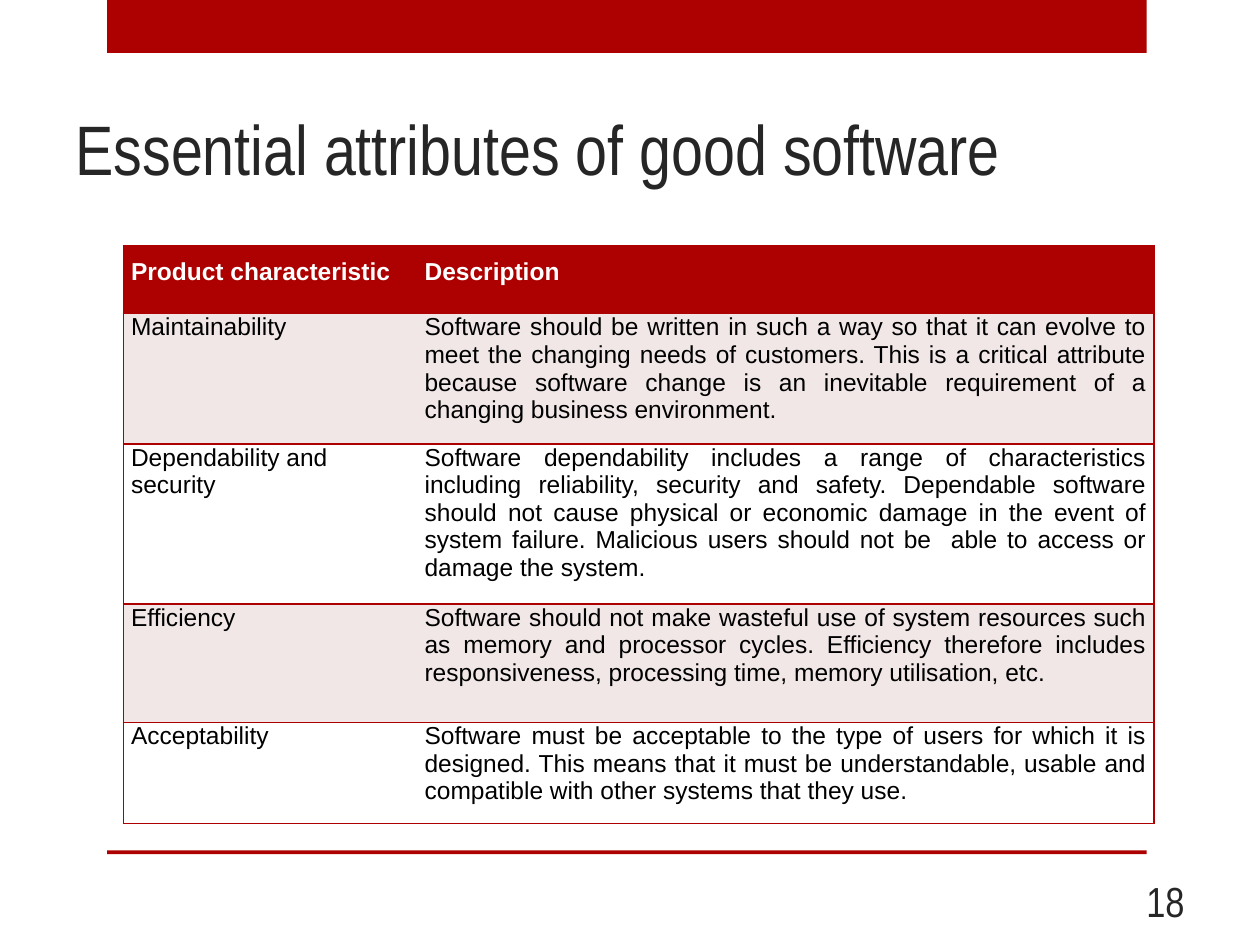
"""Builds the slide on essential attributes of good software."""
from lxml import etree
from pptx import Presentation
from pptx import util as u
from pptx.dml.color import RGBColor
from pptx.enum import shapes, text
from pptx.oxml.ns import qn

COLORS = {"red": "AD0101", "band": "F1E7E7", "white": "FFFFFF",
          "black": "000000", "ink": "262626"}
COLUMNS = [2.33, 5.85]
ROW_HEIGHTS = [0.54, 1.03, 1.27, 0.94, 0.8]
ROWS = [
    ("Product characteristic", "Description"),
    ("Maintainability",
     "Software should be written in such a way so that it can evolve to meet the "
     "changing needs of customers. This is a critical attribute because software "
     "change is an inevitable requirement of a changing business environment."),
    ("Dependability and security",
     "Software dependability includes a range of characteristics including "
     "reliability, security and safety. Dependable software should not cause "
     "physical or economic damage in the event of system failure. Malicious users "
     "should not be  able to access or damage the system."),
    ("Efficiency",
     "Software should not make wasteful use of system resources such as memory and "
     "processor cycles. Efficiency therefore includes responsiveness, processing "
     "time, memory utilisation, etc."),
    ("Acceptability",
     "Software must be acceptable to the type of users for which it is designed. "
     "This means that it must be understandable, usable and compatible with other "
     "systems that they use. "),
]


def rgb(name):
    return RGBColor.from_string(COLORS[name])


def add_run(p, words, size, font, color, bold=False):
    r = p.add_run()
    r.text = words
    r.font.size, r.font.name, r.font.bold = u.Pt(size), font, bold
    r.font.color.rgb = rgb(color)


def add_bar(s, top, height):
    sp = s.shapes.add_shape(shapes.MSO_SHAPE.RECTANGLE, u.Inches(0.85),
                            u.Inches(top), u.Inches(8.25), u.Inches(height))
    sp.shadow.inherit = False
    sp.fill.solid()
    sp.fill.fore_color.rgb = rgb("red")
    sp.line.fill.background()


def add_label(s, box, words, size, anchor, align):
    sp = s.shapes.add_textbox(*map(u.Inches, box))
    tf = sp.text_frame
    tf.word_wrap = True
    tf.vertical_anchor = anchor
    p = tf.paragraphs[0]
    p.alignment = align
    add_run(p, words, size, "Arial Narrow", "ink")


def set_borders(cell, visible):
    tc_pr = cell._tc.get_or_add_tcPr()
    for side in "LRTB":
        ln = etree.SubElement(tc_pr, qn(f"a:ln{side}"), w=str(u.Pt(1)))
        if side in visible:
            fill = etree.SubElement(ln, qn("a:solidFill"))
            etree.SubElement(fill, qn("a:srgbClr"), val=COLORS["red"])
        else:
            etree.SubElement(ln, qn("a:noFill"))


def fill_cell(cell, row, col, words):
    header = row == 0
    set_borders(cell, "TBL" if col == 0 else "TBR")
    cell.fill.solid()
    cell.fill.fore_color.rgb = rgb("red" if header else "band" if row % 2 else "white")
    cell.margin_left = cell.margin_right = u.Inches(0.06)
    cell.margin_top = u.Inches(0.1 if header else 0)
    cell.margin_bottom = u.Inches(0.1)
    p = cell.text_frame.paragraphs[0]
    wraps_left = col == 0 and row == 2
    p.alignment = text.PP_ALIGN.LEFT if wraps_left else text.PP_ALIGN.JUSTIFY
    add_run(p, words, 14, "Arial", "white" if header else "black", header)


def add_attributes_table(s):
    box = (0.98, 1.95, sum(COLUMNS), sum(ROW_HEIGHTS))
    table = s.shapes.add_table(len(ROWS), len(COLUMNS), *map(u.Inches, box)).table
    for column, width in zip(table.columns, COLUMNS):
        column.width = u.Inches(width)
    for i, (height, row) in enumerate(zip(ROW_HEIGHTS, ROWS)):
        table.rows[i].height = u.Inches(height)
        for j, words in enumerate(row):
            fill_cell(table.cell(i, j), i, j, words)


def main():
    prs = Presentation()
    prs.slide_width, prs.slide_height = u.Inches(10), u.Inches(7.5)
    s = prs.slides.add_slide(prs.slide_layouts[6])
    add_bar(s, 0, 0.42)
    add_bar(s, 6.75, 0.03)
    add_label(s, (0.5, 0.3, 8.75, 1.25), "Essential attributes of good software",
              40, text.MSO_ANCHOR.BOTTOM, text.PP_ALIGN.LEFT)
    add_label(s, (7.17, 6.95, 2.33, 0.4), "18",
              24, text.MSO_ANCHOR.MIDDLE, text.PP_ALIGN.RIGHT)
    add_attributes_table(s)
    prs.save("out.pptx")


if __name__ == "__main__":
    main()
